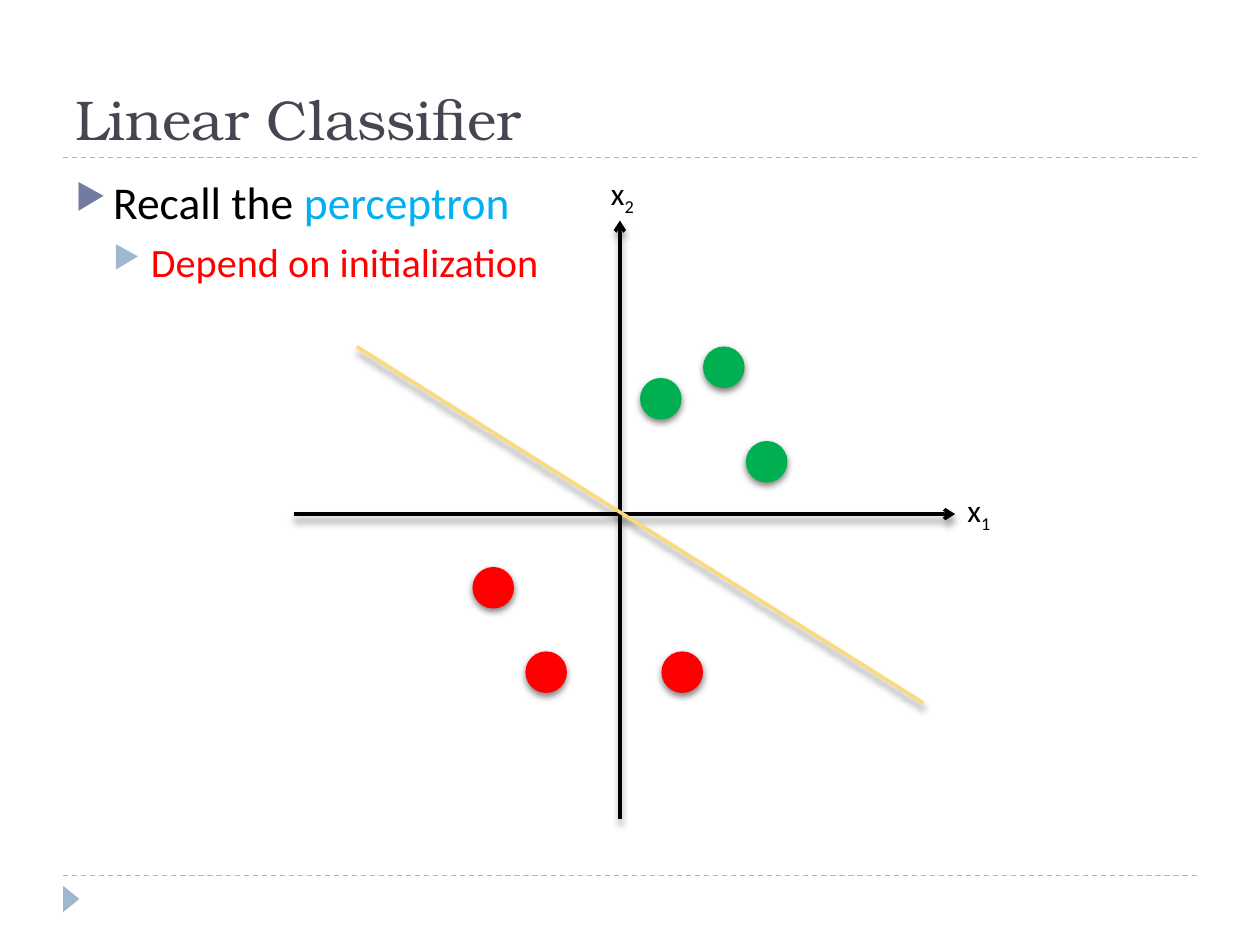
"""Build the Linear Classifier slide with its two-class scatter diagram."""
import pptx
import pptx.dml.color
import pptx.enum.dml
import pptx.enum.shapes
import pptx.enum.text
import pptx.oxml
import pptx.oxml.ns
import pptx.util

Inches = pptx.util.Inches
Pt = pptx.util.Pt
RGBColor = pptx.dml.color.RGBColor
SHAPE = pptx.enum.shapes.MSO_SHAPE
NAMESPACE = pptx.oxml.ns.nsdecls("a")
COLORS = {
    "title": "464653", "text": "000000", "axis": "000000", "rule": "9FB8CD",
    "bullet": "727CA3", "highlight": "00B0F0", "warning": "FF0000",
    "positive": "00B050", "negative": "FF0000", "boundary": "FADA7A",
}


def add_line(start, end, color, width, shadow=""):
    line = slide.shapes.add_connector(
        pptx.enum.shapes.MSO_CONNECTOR.STRAIGHT,
        *(Inches(value) for value in start + end))
    line.line.color.rgb = RGBColor.from_string(COLORS[color])
    line.line.width = Pt(width)
    line._element.spPr.append(pptx.oxml.parse_xml(
        f"<a:effectLst {NAMESPACE}>{shadow}</a:effectLst>"))
    return line


def add_text(left, top, width, height, paragraphs, size, font="Calibri"):
    box = slide.shapes.add_textbox(*map(Inches, (left, top, width, height)))
    frame = box.text_frame
    for index, runs in enumerate(paragraphs):
        paragraph = frame.paragraphs[0] if index == 0 else frame.add_paragraph()
        for text, color in runs:
            run = paragraph.add_run()
            run.text = text
            run.font.size = Pt(size)
            run.font.name = font
            run.font.color.rgb = RGBColor.from_string(COLORS[color])
    return frame


shadow_template = (
    '<a:outerShdw blurRad="{blur}" dist="{distance}" dir="5400000" rotWithShape="0">'
    '<a:srgbClr val="000000"><a:alpha val="{alpha}"/></a:srgbClr></a:outerShdw>')
line_shadow = shadow_template.format(blur=Pt(4), distance=Pt(3.4), alpha=40000)
point_shadow = shadow_template.format(blur=Pt(4), distance=Pt(2), alpha=50000)

presentation = pptx.Presentation()
presentation.slide_width = Inches(10)
presentation.slide_height = Inches(7.5)
slide = presentation.slides.add_slide(presentation.slide_layouts[6])

for rule_top in (6.95, 1.25):
    rule = add_line((0.5, rule_top), (9.5, rule_top), "rule", 0.75)
    rule.line.dash_style = pptx.enum.dml.MSO_LINE.DASH

marker = slide.shapes.add_shape(
    SHAPE.ISOSCELES_TRIANGLE, Inches(0.46), Inches(7.07), Inches(0.21), Inches(0.13))
marker.rotation = 90
marker.shadow.inherit = False
marker.fill.solid()
marker.fill.fore_color.rgb = RGBColor.from_string(COLORS["rule"])
marker.line.fill.background()

title = add_text(0.5, 0.17, 9, 1.08, [[("Linear Classifier", "title")]],
                 32, "TeX Gyre Bonum")
title.word_wrap = True
title.vertical_anchor = pptx.enum.text.MSO_ANCHOR.BOTTOM

body = add_text(0.5, 1.33, 9, 5.4, [
    [("Recall the ", "text"), ("perceptron", "highlight")],
    [("Depend on initialization", "warning")],
], 26)
body.word_wrap = True
bullet_colors = ("bullet", "rule")
for level, paragraph in enumerate(body.paragraphs):
    properties = paragraph._p.get_or_add_pPr()
    properties.set("marL", str(Inches(0.3 * (level + 1))))
    properties.set("indent", str(Inches(-0.3)))
    for element in (
        f'<a:buClr {NAMESPACE}><a:srgbClr val="{COLORS[bullet_colors[level]]}"/></a:buClr>',
        f'<a:buSzPct {NAMESPACE} val="76000"/>',
        f'<a:buChar {NAMESPACE} char="▶"/>',
    ):
        properties.append(pptx.oxml.parse_xml(element))
    paragraph.level = level
body.paragraphs[1].space_before = Pt(5)
body.paragraphs[1].runs[0].font.size = Pt(23)

for start, end in (((4.92, 6.5), (4.92, 1.75)), ((2.33, 4.08), (7.58, 4.08))):
    axis = add_line(start, end, "axis", 2, line_shadow)
    axis.line._get_or_add_ln().append(
        pptx.oxml.parse_xml(f'<a:tailEnd {NAMESPACE} type="arrow"/>'))

for left, top, subscript in ((7.58, 3.85, "1"), (4.75, 1.33, "2")):
    label = add_text(left, top, 0.41, 0.4, [[("x", "text"), (subscript, "text")]], 18)
    label.word_wrap = False
    label.auto_size = pptx.enum.text.MSO_AUTO_SIZE.SHAPE_TO_FIT_TEXT
    label.paragraphs[0].runs[1].font._element.set("baseline", "-25000")

points = {
    "positive": ((5.58, 2.75), (5.92, 3.5), (5.08, 3)),
    "negative": ((3.75, 4.5), (4.17, 5.17), (5.25, 5.17)),
}
for group, positions in points.items():
    for left, top in positions:
        point = slide.shapes.add_shape(
            SHAPE.OVAL, Inches(left), Inches(top), Inches(0.33), Inches(0.33))
        point.fill.solid()
        point.fill.fore_color.rgb = RGBColor.from_string(COLORS[group])
        point.line.fill.background()
        point._element.spPr.append(pptx.oxml.parse_xml(
            f"<a:effectLst {NAMESPACE}>{point_shadow}</a:effectLst>"))

add_line((2.83, 2.75), (7.33, 5.58), "boundary", 2, line_shadow)

presentation.save("out.pptx")
